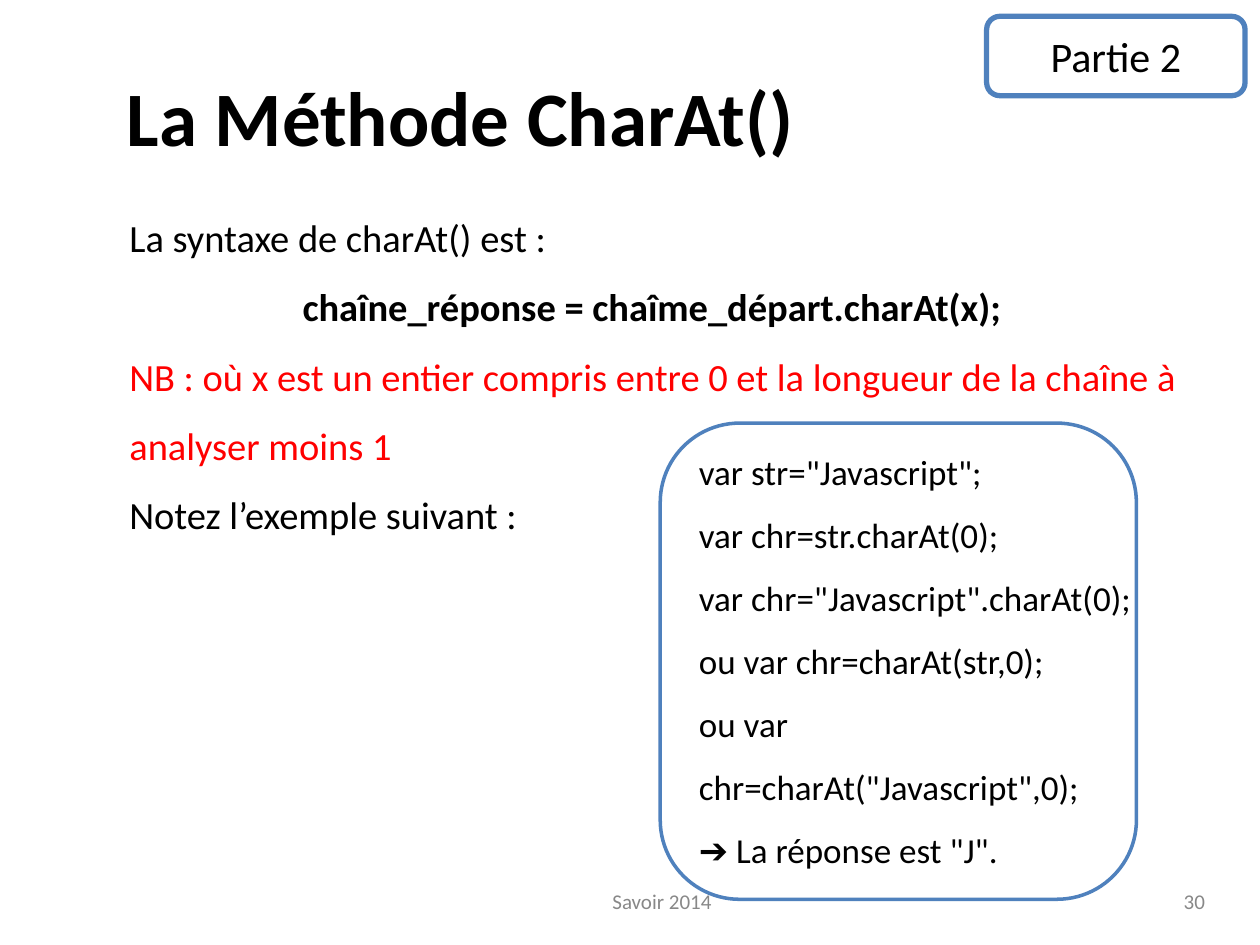
from dataclasses import dataclass

from pptx import Presentation
from pptx.dml.color import RGBColor
from pptx.enum.shapes import MSO_SHAPE as Shape
from pptx.enum.text import MSO_ANCHOR as Anchor, PP_ALIGN as Align
from pptx.util import Cm, Pt


@dataclass(frozen=True)
class Theme:
    font: str = "Calibri"
    ink: str = "000000"
    warning: str = "FF0000"
    muted: str = "888888"
    paper: str = "FFFFFF"
    border: str = "4F81BD"
    title: int = 44
    badge: int = 24
    body: int = 22
    code: int = 20
    footer: int = 12


THEME = Theme()

TITLE = "La Méthode CharAt()"
PART = "Partie 2"
# Text, colour, bold, left indent in cm
EXPLANATION = [
    ("La syntaxe de charAt() est :", THEME.ink, False, 0),
    ("chaîne_réponse = chaîme_départ.charAt(x);", THEME.ink, True, 3.49),
    ("NB : où x est un entier compris entre 0 et la longueur de la chaîne "
     "à analyser moins 1", THEME.warning, False, 0),
    ("Notez l’exemple suivant :", THEME.ink, False, 0),
]
CODE = [
    'var str="Javascript";',
    "var chr=str.charAt(0);",
    'var chr="Javascript".charAt(0);',
    "ou var chr=charAt(str,0);",
    'ou var chr=charAt("Javascript",0);',
]
ANSWER = '➔ La réponse est "J".'
FOOTER = "Savoir 2014"
PAGE_NUMBER = "30"

# Left, top, width, height in cm
TITLE_BOX = (2.31, 0.74, 17.53, 3.18)
PART_BOX = (19.89, 0.33, 5.21, 1.6)
EXPLANATION_BOX = (2.36, 3.73, 22.73, 7.39)
CODE_FRAME = (13.31, 8.53, 9.6, 9.6)
CODE_BOX = (13.84, 8.53, 9.65, 9.25)
FOOTER_BOX = (9.32, 17.65, 8.05, 1.02)
PAGE_BOX = (18.62, 17.65, 5.92, 1.02)


def write(frame, paragraphs, size, align=Align.LEFT, anchor=Anchor.MIDDLE, spacing=1.0):
    """Fill a frame with (text, colour, bold, left indent) paragraphs."""
    frame.word_wrap = True
    frame.vertical_anchor = anchor
    for index, (text, colour, bold, indent) in enumerate(paragraphs):
        paragraph = frame.paragraphs[0] if index == 0 else frame.add_paragraph()
        paragraph.text = text
        paragraph.alignment = align
        paragraph.line_spacing = spacing
        if indent:
            paragraph._p.get_or_add_pPr().set("marL", str(Cm(indent)))
        for run in paragraph.runs:
            run.font.name = THEME.font
            run.font.size = Pt(size)
            run.font.bold = bold
            run.font.color.rgb = RGBColor.from_string(colour)


def add_text(slide, box, paragraphs, size, **layout):
    textbox = slide.shapes.add_textbox(*map(Cm, box))
    write(textbox.text_frame, paragraphs, size, **layout)


def add_frame(slide, box, line_width):
    frame = slide.shapes.add_shape(Shape.ROUNDED_RECTANGLE, *map(Cm, box))
    frame.shadow.inherit = False
    frame.fill.solid()
    frame.fill.fore_color.rgb = RGBColor.from_string(THEME.paper)
    frame.line.color.rgb = RGBColor.from_string(THEME.border)
    frame.line.width = Pt(line_width)
    return frame


def main():
    deck = Presentation()
    deck.slide_width, deck.slide_height = Cm(25.4), Cm(19.05)
    slide = deck.slides.add_slide(deck.slide_layouts[6])

    add_text(slide, TITLE_BOX, [(TITLE, THEME.ink, True, 0)], THEME.title)
    badge = add_frame(slide, PART_BOX, 3)
    write(badge.text_frame, [(PART, THEME.ink, False, 0)], THEME.badge, align=Align.CENTER)

    add_frame(slide, CODE_FRAME, 2)
    add_text(slide, EXPLANATION_BOX, EXPLANATION, THEME.body, anchor=Anchor.TOP, spacing=1.5)
    example = [(text, THEME.ink, False, 0) for text in ("\n".join(CODE), ANSWER)]
    add_text(slide, CODE_BOX, example, THEME.code, anchor=Anchor.TOP, spacing=1.5)

    for box, text, align in [
        (FOOTER_BOX, FOOTER, Align.CENTER),
        (PAGE_BOX, PAGE_NUMBER, Align.RIGHT),
    ]:
        add_text(slide, box, [(text, THEME.muted, False, 0)], THEME.footer, align=align)

    deck.save("out.pptx")


if __name__ == "__main__":
    main()
